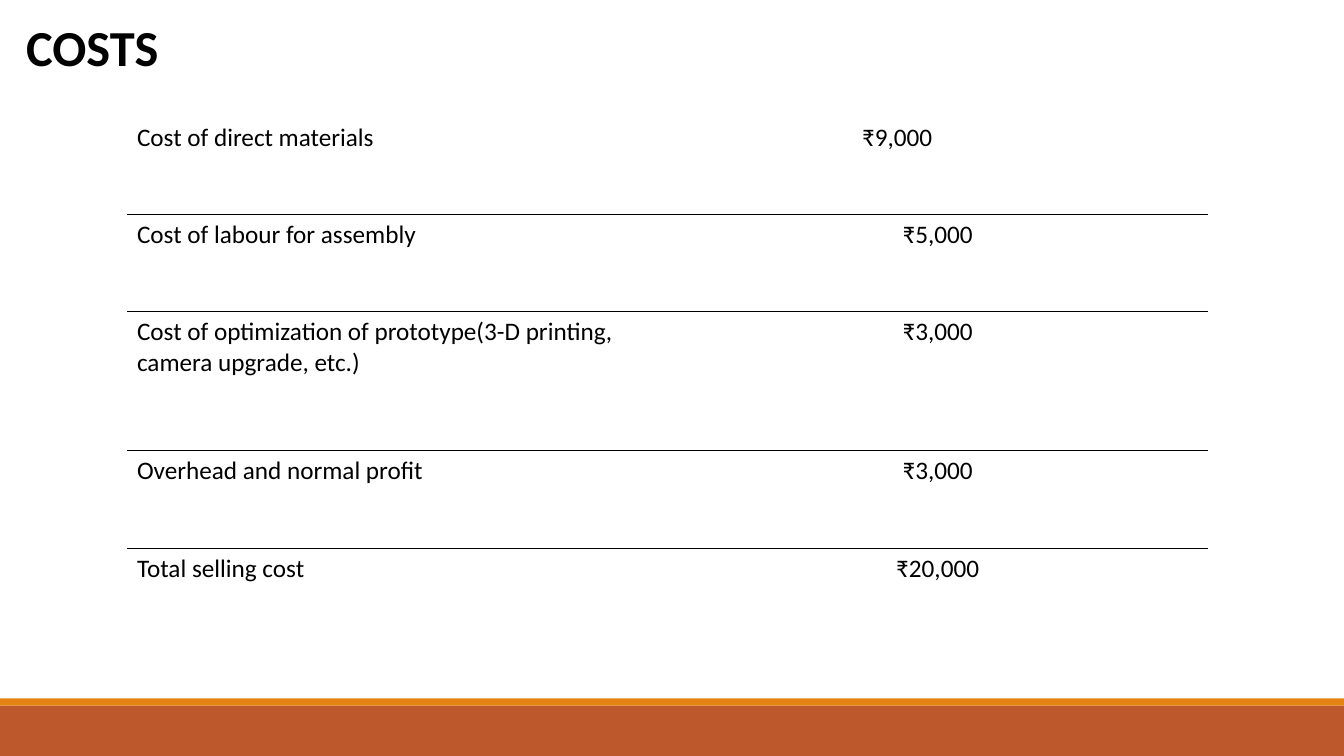
"""Build the costs slide with its ruled cost table."""
from lxml import etree
from pptx import Presentation
from pptx.dml.color import RGBColor
from pptx.enum.shapes import MSO_SHAPE
from pptx.enum.text import PP_ALIGN
from pptx.oxml.ns import qn
from pptx.util import Cm, Pt

TITLE = "COSTS"
COSTS = [
    ("Cost of direct materials", "₹9,000"),
    ("Cost of labour for assembly", "₹5,000"),
    ("Cost of optimization of prototype(3-D printing, camera upgrade, etc.)", "₹3,000"),
    ("Overhead and normal profit", "₹3,000"),
    ("Total selling cost", "₹20,000"),
]
ROW_HEIGHTS = [2.45, 2.45, 3.51, 2.45, 2.45]
COLUMN_WIDTH = 13.62
FIRST_AMOUNT_MARGIN = 2.29
FOOTER_BANDS = [(17.78, 1.27, "BD582C"), (17.6, 0.18, "E48312")]
INK = "000000"
SLIDE_WIDTH, SLIDE_HEIGHT = 33.87, 19.05


def color(value):
    return RGBColor.from_string(value)


def write(frame, text, size=18, bold=False, align=PP_ALIGN.LEFT):
    frame.word_wrap = True
    paragraph = frame.paragraphs[0]
    paragraph.alignment = align
    run = paragraph.add_run()
    run.text = text
    run.font.name = "Calibri"
    run.font.size = Pt(size)
    run.font.bold = bold
    run.font.color.rgb = color(INK)


def set_borders(cell, top, bottom):
    properties = cell._tc.get_or_add_tcPr()
    widths = {"lnL": 0, "lnR": 0, "lnT": top, "lnB": bottom}
    for position, (side, width) in enumerate(widths.items()):
        line = etree.Element(qn(f"a:{side}"), w=str(Pt(width)))
        if width:
            fill = etree.SubElement(line, qn("a:solidFill"))
            etree.SubElement(fill, qn("a:srgbClr"), val=INK)
        else:
            etree.SubElement(line, qn("a:noFill"))
        properties.insert(position, line)


def main():
    prs = Presentation()
    prs.slide_width, prs.slide_height = Cm(SLIDE_WIDTH), Cm(SLIDE_HEIGHT)
    slide = prs.slides.add_slide(prs.slide_layouts[6])

    for top, height, fill in FOOTER_BANDS:
        band = slide.shapes.add_shape(
            MSO_SHAPE.RECTANGLE, Cm(0), Cm(top), Cm(SLIDE_WIDTH), Cm(height))
        band.shadow.inherit = False
        band.fill.solid()
        band.fill.fore_color.rgb = color(fill)
        band.line.fill.background()

    title = slide.shapes.add_textbox(Cm(0.41), Cm(0.28), Cm(26.85), Cm(1.8))
    write(title.text_frame, TITLE, size=36, bold=True)

    table = slide.shapes.add_table(
        len(COSTS), 2, Cm(3.2), Cm(2.95),
        Cm(2 * COLUMN_WIDTH), Cm(sum(ROW_HEIGHTS))).table
    table.first_row = table.horz_banding = False
    for column in table.columns:
        column.width = Cm(COLUMN_WIDTH)

    rules = [0, 1, 0.75, 0.75, 0.75, 0]
    for index, (cost, height) in enumerate(zip(COSTS, ROW_HEIGHTS)):
        table.rows[index].height = Cm(height)
        for column, align in enumerate((PP_ALIGN.LEFT, PP_ALIGN.CENTER)):
            cell = table.cell(index, column)
            cell.fill.background()
            set_borders(cell, rules[index], rules[index + 1])
            write(cell.text_frame, cost[column], align=align)
    table.cell(0, 1).margin_right = Cm(FIRST_AMOUNT_MARGIN)

    prs.save("out.pptx")


if __name__ == "__main__":
    main()
